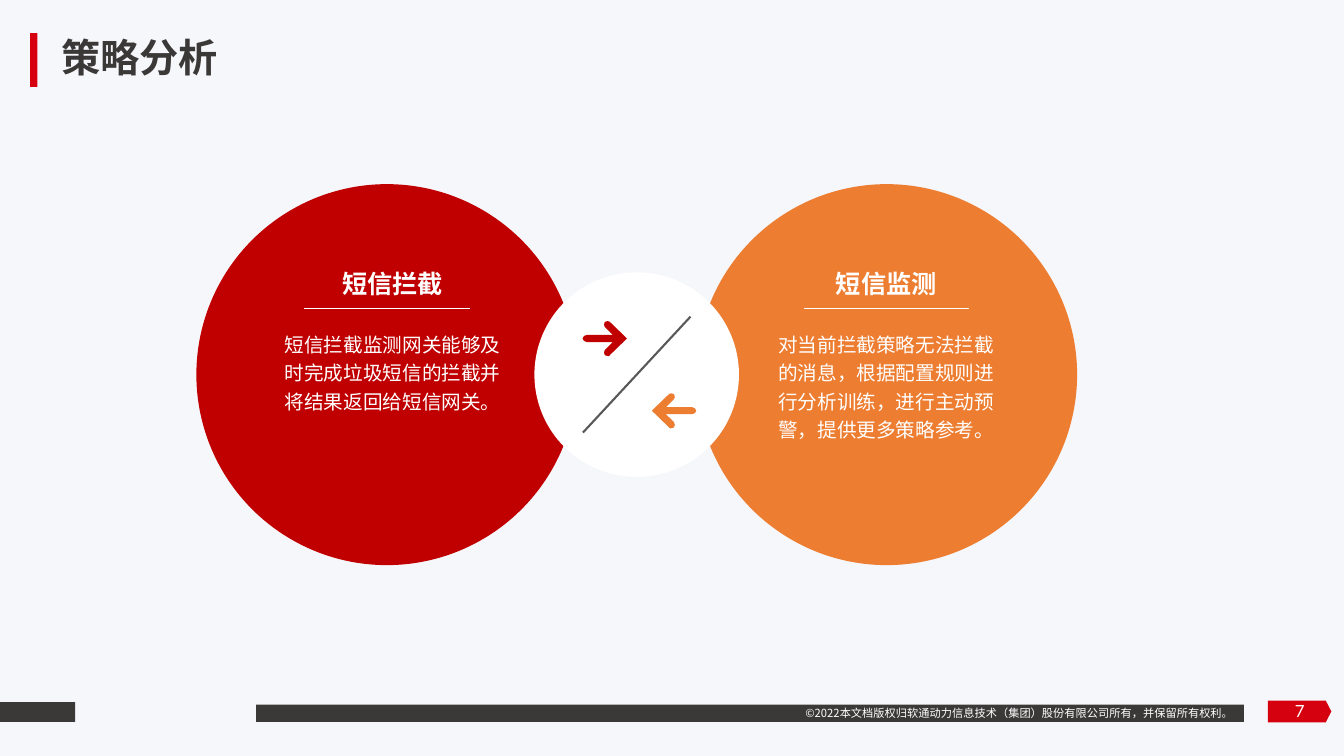
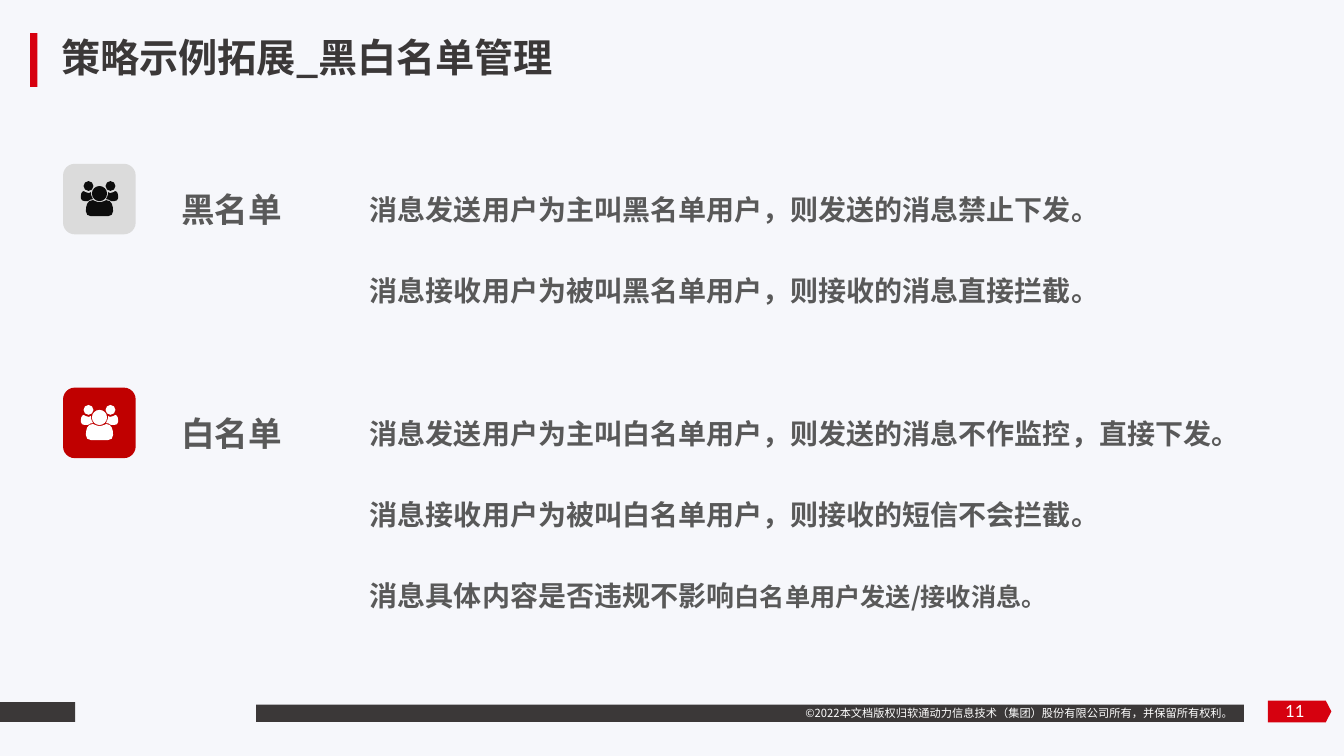
from dataclasses import dataclass

from lxml.etree import SubElement
from pptx import Presentation
from pptx.dml.color import RGBColor
from pptx.enum.shapes import MSO_CONNECTOR, MSO_SHAPE
from pptx.enum.text import MSO_ANCHOR, PP_ALIGN
from pptx.oxml.ns import qn
from pptx.util import Emu, Inches, Pt


@dataclass(frozen=True)
class Theme:
    back: str = "F6F7FB"
    dark: str = "3B3838"
    tag: str = "D6010F"
    accent: str = "D7000F"
    red: str = "C00000"
    orange: str = "ED7D31"
    white: str = "FFFFFF"
    grey: str = "595959"
    pale: str = "DBDBDB"
    black: str = "0D0D0D"
    cjk: str = "Noto Sans CJK SC"
    latin: str = "Lato"
    title: int = 28
    label: int = 24
    detail: int = 20
    heading: int = 18
    body: int = 14
    number: int = 12
    small: int = 8


T = Theme()
ROWS = 90
WIDTH, HEIGHT = Inches(13.333), Inches(7.5)
CELL = HEIGHT / ROWS
PATH_UNIT = 0.12
PATH_DETAIL = 100
ARC = 0.55

COPYRIGHT = "©2022本文档版权归软通动力信息技术（集团）股份有限公司所有，并保留所有权利。"

ARROW = [
    (0, -16.5), (-1, -14.5, -1, -12.5, 0, -11.5), (8, -3.5), (-18, -3.5),
    (-20, -3.5, -22, -1.5, -22, 0), (-22, 1.5, -20, 3.5, -18, 3.5),
    (8, 3.5), (0, 11.5), (-1, 12.5, -1, 15.5, 0, 16.5),
    (1, 17.5, 2, 17.5, 3, 17.5), (4, 17.5, 5, 17.5, 5, 16.5),
    (22, 0), (5, -16.5), (4, -17.5, 2, -17.5, 0, -16.5),
]
SHOULDER = [
    (-11.5, 20), (-14.5, 20), (-16.5, 20, -18.5, 19, -18.5, 17),
    (-18.5, 15, -18.5, 10, -15.5, 10), (-15.5, 10, -13.5, 12, -10.5, 12),
    (-9.5, 12, -9.5, 12, -8.5, 11), (-8.5, 13),
    (-8.5, 14, -7.5, 16, -6.5, 18), (-8.5, 18, -10.5, 19, -11.5, 20),
]
TORSO = [
    (8.5, 35), (-8.5, 35), (-11.5, 35, -13.5, 33, -13.5, 30),
    (-13.5, 25, -12.5, 19, -6.5, 19), (-5.5, 19, -3.5, 21, 0, 21),
    (3.5, 21, 6.5, 19, 6.5, 19), (12.5, 19, 13.5, 25, 13.5, 30),
    (13.5, 33, 11.5, 35, 8.5, 35),
]


def grid(*cells):
    return [Emu(round(c * CELL)) for c in cells]


def rgb(color):
    return RGBColor.from_string(color)


def paint(sp, color):
    sp.shadow.inherit = False
    sp.fill.solid()
    sp.fill.fore_color.rgb = rgb(color)
    sp.line.fill.background()


def add_block(s, kind, box, color):
    sp = s.shapes.add_shape(kind, *grid(*box))
    paint(sp, color)
    return sp


def add_circle(s, cx, cy, size, color):
    add_block(s, MSO_SHAPE.OVAL, (cx - size / 2, cy - size / 2, size, size), color)


def add_line(s, start, end, color, weight):
    ln = s.shapes.add_connector(MSO_CONNECTOR.STRAIGHT, *grid(*start, *end))
    ln.line.color.rgb = rgb(color)
    ln.line.width = Pt(weight)
    SubElement(ln._element.spPr, qn("a:effectLst"))


def style(p, size, color, font, bold):
    p.font.size = Pt(size)
    p.font.bold = bold
    p.font.color.rgb = rgb(color)
    p.font.name = font
    SubElement(p._p.pPr.find(qn("a:defRPr")), qn("a:ea"), typeface=T.cjk)


def add_text(s, box, paragraphs, size, color, font=T.cjk, bold=False,
             align=PP_ALIGN.LEFT, anchor=MSO_ANCHOR.TOP, spacing=1.0, gap=0):
    tf = s.shapes.add_textbox(*grid(*box)).text_frame
    tf.word_wrap = True
    tf.vertical_anchor = anchor
    for i, runs in enumerate(paragraphs):
        p = tf.add_paragraph() if i else tf.paragraphs[0]
        p.alignment = align
        p.line_spacing = spacing
        if i:
            p.space_before = Pt(gap)
        style(p, size, color, font, bold)
        for text, run_size in runs if isinstance(runs, list) else [(runs, None)]:
            r = p.add_run()
            r.text = text
            if run_size:
                r.font.size = Pt(run_size)


def mirror(contour):
    return [tuple(v if i % 2 else -v for i, v in enumerate(step)) for step in contour]


def ring(cx, cy, r):
    k = r * ARC
    return [
        (cx, cy - r),
        (cx + k, cy - r, cx + r, cy - k, cx + r, cy),
        (cx + r, cy + k, cx + k, cy + r, cx, cy + r),
        (cx - k, cy + r, cx - r, cy + k, cx - r, cy),
        (cx - r, cy - k, cx - k, cy - r, cx, cy - r),
    ]


def bend(sp, contours):
    ends = [step[-2:] for contour in contours for step in contour]
    origin = [min(axis) for axis in zip(*ends)]
    steps = [step for contour in contours for step in contour[1:]]
    for segment, step in zip(list(sp._element.iter(qn("a:lnTo"))), steps):
        if len(step) == 2:
            continue
        for pt in list(segment):
            segment.remove(pt)
        segment.tag = qn("a:cubicBezTo")
        for i in range(0, len(step), 2):
            x, y = (str(round(step[i + axis] - origin[axis])) for axis in (0, 1))
            SubElement(segment, qn("a:pt"), x=x, y=y)


def add_outline(s, x, y, contours, color):
    scaled = [[tuple(v * PATH_DETAIL for v in step) for step in c] for c in contours]
    fb = s.shapes.build_freeform(*scaled[0][0], scale=CELL * PATH_UNIT / PATH_DETAIL)
    for i, contour in enumerate(scaled):
        if i:
            fb.move_to(*contour[0])
        fb.add_line_segments([step[-2:] for step in contour[1:]], close=True)
    sp = fb.convert_to_shape(*grid(x, y))
    bend(sp, scaled)
    paint(sp, color)


def add_people(s, x, y, color):
    head = ring(-10.9, 5, 4.9)
    contours = [SHOULDER, head, TORSO, ring(0, 12.5, 7.5), mirror(head), mirror(SHOULDER)]
    add_outline(s, x, y, contours, color)


def add_page(prs, title, number):
    s = prs.slides.add_slide(prs.slide_layouts[6])
    s.background.fill.solid()
    s.background.fill.fore_color.rgb = rgb(T.back)
    add_block(s, MSO_SHAPE.RECTANGLE, (30.5, 83.9, 117.6, 2.05), T.dark)
    tag = add_block(s, MSO_SHAPE.PENTAGON, (150.95, 83.4, 7.55, 2.6), T.tag)
    tag.adjustments[0] = 0.26
    add_block(s, MSO_SHAPE.RECTANGLE, (0, 83.6, 8.95, 2.35), T.dark)
    add_block(s, MSO_SHAPE.RECTANGLE, (3.6, 3.95, 0.85, 6.4), T.accent)
    add_text(s, (94.7, 83.5, 55.4, 2.9), [COPYRIGHT], T.small, T.white)
    add_text(s, (6.1, 3.2, 78.4, 7.9), [title], T.title, T.dark, bold=True,
             anchor=MSO_ANCHOR.MIDDLE, spacing=0.9)
    add_text(s, (120.5, 82.25, 36, 4.8), [number], T.number, T.white, font=T.latin,
             align=PP_ALIGN.RIGHT, anchor=MSO_ANCHOR.MIDDLE)
    return s


def add_strategy(s, cx, cy, text_cx, color, heading, body):
    add_circle(s, cx, cy, 45.35, color)
    add_line(s, (cx - 9.85, 36.75), (cx + 9.85, 36.75), T.white, 0.5)
    for y, width, height, text, size, bold in (
            (38.5, 28.85, 14.8, body, T.body, False),
            (30.6, 29.4, 5.5, heading, T.heading, True)):
        add_text(s, (text_cx - width / 2, y, width, height), [text], size, T.white,
                 font=T.latin, bold=bold, align=PP_ALIGN.CENTER, spacing=1.2)


def add_hub(s, cx, cy):
    add_circle(s, cx, cy, 24.35, T.white)
    add_line(s, (cx + 6.4, cy - 6.9), (cx - 6.4, cy + 6.9), T.grey, 1.5)
    add_outline(s, cx - 3.8, cy - 4.3, [ARROW], T.red)
    add_outline(s, cx + 4.45, cy + 4.3, [mirror(ARROW)], T.orange)


def add_list_entry(s, y, tile, icon, label, details):
    add_block(s, MSO_SHAPE.ROUNDED_RECTANGLE, (7.5, y, 8.65, 8.4), tile)
    add_people(s, 11.85, y + 2.05, icon)
    add_text(s, (20.4, y + 1.45, 17.9, 6.5), [label], T.label, T.grey, bold=True,
             spacing=1.2)
    add_text(s, (42.85, y + 2.05, 107.9, 9.7 * len(details) - 3.7), details,
             T.detail, T.grey, bold=True, spacing=1.2, gap=29)


def build_analysis(prs):
    s = add_page(prs, "策略分析", "7")
    cx, cy, reach = 75.8, 44.6, 29.75
    add_strategy(s, cx - reach, cy, 46.75, T.red, "短信拦截",
                 "短信拦截监测网关能够及时完成垃圾短信的拦截并将结果返回给短信网关。")
    add_strategy(s, cx + reach, cy, 105.5, T.orange, "短信监测",
                 "对当前拦截策略无法拦截的消息，根据配置规则进行分析训练，进行主动预警，提供更多策略参考。")
    add_hub(s, cx, cy)


def build_lists(prs):
    s = add_page(prs, "策略示例拓展_黑白名单管理", "11")
    top, pitch = 19.5, 26.65
    entries = [
        (T.pale, T.black, "黑名单", [
            "消息发送用户为主叫黑名单用户，则发送的消息禁止下发。",
            "消息接收用户为被叫黑名单用户，则接收的消息直接拦截。"]),
        (T.red, T.white, "白名单", [
            "消息发送用户为主叫白名单用户，则发送的消息不作监控，直接下发。",
            "消息接收用户为被叫白名单用户，则接收的短信不会拦截。",
            [("消息具体内容是否违规不影响", None),
             ("白名单用户发送/接收消息。", T.heading)]]),
    ]
    for i, entry in enumerate(entries):
        add_list_entry(s, top + i * pitch, *entry)


def main():
    prs = Presentation()
    prs.slide_width, prs.slide_height = WIDTH, HEIGHT
    build_analysis(prs)
    build_lists(prs)
    prs.save("out.pptx")


if __name__ == "__main__":
    main()
